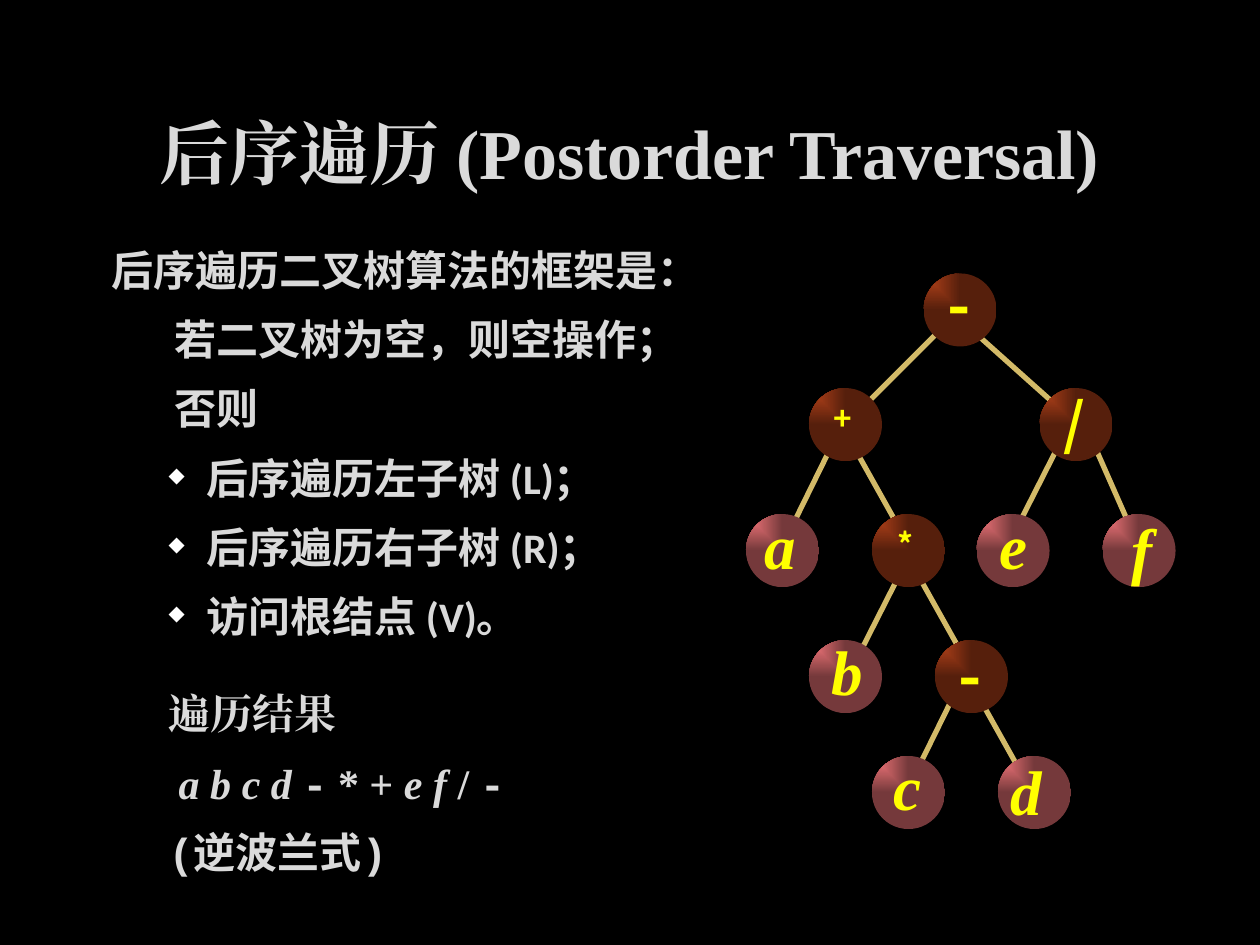
from pptx import Presentation
from pptx.dml.color import RGBColor
from pptx.enum.shapes import MSO_CONNECTOR as CONN, MSO_SHAPE as SHAPE
from pptx.enum.text import MSO_ANCHOR as ANCHOR, PP_ALIGN as ALIGN
from pptx.oxml import parse_xml
from pptx.oxml.ns import nsdecls, qn
from pptx.util import Inches, Pt

SERIF, SANS, MONO, CJK = "Times New Roman", "Calibri", "Courier New", "Noto Sans CJK SC"


def rgb(value):
    return RGBColor.from_string(value)


def xml(tag, attrs="", inner=""):
    return parse_xml(f"<a:{tag} {nsdecls('a')} {attrs}>{inner}</a:{tag}>")


class TreeSlide:
    text_color, label_color, edge_color = "DADADA", "FFFF00", "D3BA68"
    operator_fill = "BC451B", "561F0C"
    operand_fill = "FF7C80", "75393B"
    diameter = 0.58

    def __init__(self, prs):
        self.s = prs.slides.add_slide(prs.slide_layouts[5])
        self.s.background.fill.solid()
        self.s.background.fill.fore_color.rgb = rgb("000000")

    def style(self, r, size, font, color, italic=False):
        r.font.size, r.font.name = Pt(size), font
        r.font.bold, r.font.italic = True, italic
        r.font.color.rgb = rgb(color)
        r.font._element.find(qn("a:latin")).addnext(xml("ea", f'typeface="{font}"'))

    def title(self, text, x, y, w, h):
        sp = self.s.shapes.title
        sp.left, sp.top, sp.width, sp.height = map(Inches, (x, y, w, h))
        tf = sp.text_frame
        tf.text = text
        tf.vertical_anchor = ANCHOR.MIDDLE
        p = tf.paragraphs[0]
        p.alignment = ALIGN.CENTER
        self.style(p.runs[0], 40, SERIF, self.text_color)

    def body(self, paragraphs, x, y, w, h):
        tf = self.s.shapes.add_textbox(*map(Inches, (x, y, w, h))).text_frame
        tf.word_wrap = True
        for i, (indent, bullet, before, runs) in enumerate(paragraphs):
            p = tf.paragraphs[0] if i == 0 else tf.add_paragraph()
            pPr = p._p.get_or_add_pPr()
            pPr.set("marL", str(Inches(indent)))
            pPr.set("indent", str(Inches(-0.3 if bullet else 0)))
            p.line_spacing = Pt(28.8)
            p.space_before, p.space_after = Pt(before), Pt(6)
            if bullet:
                pPr.append(xml("buClr", "", '<a:srgbClr val="FFFFFF"/>'))
                pPr.append(xml("buSzPct", 'val="50000"'))
                pPr.append(xml("buChar", 'char="◆"'))
            for text, font, italic in runs:
                r = p.add_run()
                r.text = text
                self.style(r, 24, font, self.text_color, italic)

    def edge(self, shapes, x1, y1, x2, y2):
        line = shapes.add_connector(CONN.STRAIGHT, *map(Inches, (x1, y1, x2, y2)))
        line.line.color.rgb = rgb(self.edge_color)
        line.line.width = Pt(3)
        line._element.spPr.append(xml("effectLst"))

    def node(self, shapes, x, y, colors):
        sp = shapes.add_shape(SHAPE.OVAL, *map(Inches, (x, y, self.diameter, self.diameter)))
        sp.shadow.inherit = False
        sp.line.fill.background()
        sp.fill.gradient()
        for stop, color in zip(sp.fill.gradient_stops, colors):
            stop.color.rgb = rgb(color)
        grad = sp._element.spPr.find(qn("a:gradFill"))
        grad.remove(grad.find(qn("a:lin")))
        grad.append(xml("path", 'path="rect"', '<a:fillToRect r="100000" b="100000"/>'))

    def label(self, shapes, text, x, y, w, h, size):
        tf = shapes.add_textbox(*map(Inches, (x, y, w, h))).text_frame
        tf.text = text
        tf.word_wrap = False
        tf.vertical_anchor = ANCHOR.MIDDLE
        p = tf.paragraphs[0]
        p.alignment = ALIGN.CENTER
        operand = text.isalpha()
        self.style(p.runs[0], size, SERIF if operand else CJK, self.label_color, operand)

    def tree(self, edges, nodes):
        shapes = self.s.shapes.add_group_shape().shapes
        for edge in edges:
            self.edge(shapes, *edge)
        for text, x, y, *_ in nodes:
            fill = self.operand_fill if text.isalpha() else self.operator_fill
            self.node(shapes, x, y, fill)
        for text, _, _, *place in nodes:
            self.label(shapes, text, *place)


PARAGRAPHS = [
    (0.04, False, 0, [("后序遍历二叉树算法的框架是：", SANS, False)]),
    (0.54, False, 4.8, [("若二叉树为空，则空操作；", SANS, False)]),
    (0.54, False, 4.8, [("否则", SANS, False)]),
    (0.79, True, 4.8, [("后序遍历左子树 (L)；", SANS, False)]),
    (0.79, True, 4.8, [("后序遍历右子树 (R)；", SANS, False)]),
    (0.79, True, 4.8, [("访问根结点 (V)。", SANS, False)]),
    (0.49, False, 20.6, [("遍历结果", SERIF, False)]),
    (0.57, False, 4.8, [
        ("a b c d ", SERIF, True), ("-", MONO, False), (" * + ", SERIF, False),
        ("e f", SERIF, True), (" / ", SERIF, False), ("-", MONO, False)]),
    (0.49, False, 4.8, [("(逆波兰式)", MONO, False)]),
]
EDGES = [
    (7.5, 2.58, 6.83, 3.25), (7.67, 2.58, 8.42, 3.25),
    (6.58, 3.58, 6.25, 4.25), (6.75, 3.5, 7.17, 4.25),
    (8.42, 3.5, 8.08, 4.17), (8.67, 3.5, 9, 4.25),
    (7.17, 4.5, 6.83, 5.17), (7.25, 4.5, 7.67, 5.25),
    (7.58, 5.5, 7.25, 6.17), (7.75, 5.5, 8.17, 6.25),
]
NODES = [
    ("-", 7.33, 2.17, 7.38, 2.05, 0.46, 0.71, 36),
    ("+", 6.42, 3.08, 6.45, 2.93, 0.48, 0.77, 18),
    ("/", 8.25, 3.08, 8.31, 3.03, 0.43, 0.64, 32),
    ("a", 5.92, 4.08, 5.97, 3.97, 0.45, 0.7, 36),
    ("*", 6.92, 4.08, 6.95, 3.93, 0.48, 0.77, 18),
    ("e", 7.75, 4.08, 7.83, 3.97, 0.42, 0.7, 36),
    ("f", 8.75, 4.08, 8.88, 4, 0.37, 0.7, 36),
    ("b", 6.42, 5.08, 6.5, 4.97, 0.45, 0.7, 36),
    ("-", 7.42, 5.08, 7.47, 5, 0.46, 0.71, 36),
    ("c", 6.92, 6, 6.99, 5.88, 0.42, 0.7, 36),
    ("d", 7.92, 6, 7.92, 5.92, 0.45, 0.7, 36),
]


def main():
    prs = Presentation()
    prs.slide_width, prs.slide_height = Inches(10), Inches(7.5)
    slide = TreeSlide(prs)
    slide.title("后序遍历 (Postorder Traversal)", 0.75, 0.67, 8.49, 1.06)
    slide.body(PARAGRAPHS, 0.75, 1.89, 8.49, 4.44)
    slide.tree(EDGES, NODES)
    prs.save("out.pptx")


if __name__ == "__main__":
    main()
